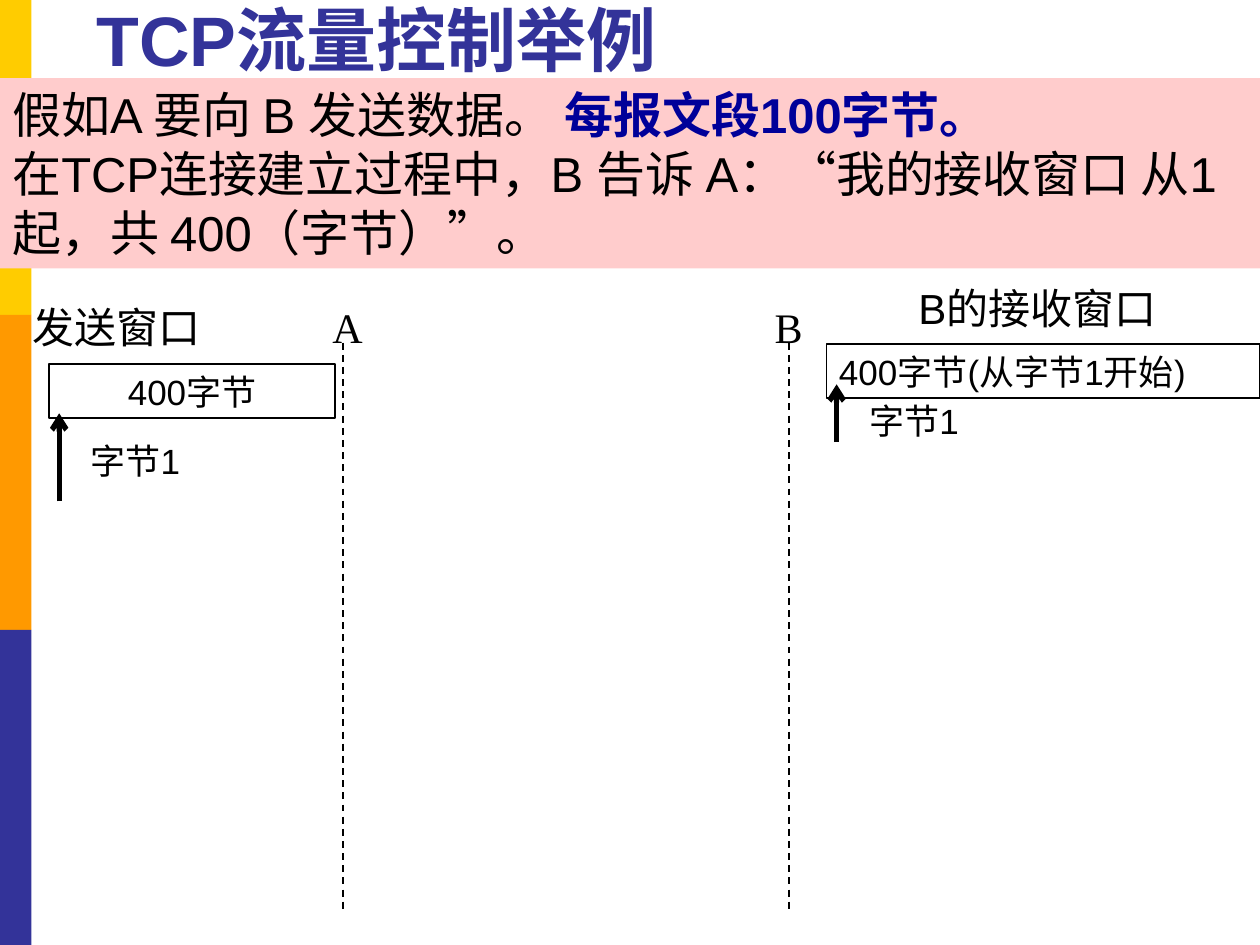
from lxml import etree
from pptx import Presentation
from pptx.dml.color import RGBColor
from pptx.enum.dml import MSO_LINE
from pptx.enum.shapes import MSO_CONNECTOR, MSO_SHAPE
from pptx.enum.text import MSO_ANCHOR, PP_ALIGN
from pptx.oxml.ns import qn
from pptx.util import Inches, Pt

RECTANGLE = MSO_SHAPE.RECTANGLE
STRAIGHT = MSO_CONNECTOR.STRAIGHT
DASH = MSO_LINE.DASH
TOP, BOTTOM = MSO_ANCHOR.TOP, MSO_ANCHOR.BOTTOM
LEFT, CENTER = PP_ALIGN.LEFT, PP_ALIGN.CENTER

BLACK = RGBColor(0x00, 0x00, 0x00)
YELLOW = RGBColor(0xFF, 0xCC, 0x00)
ORANGE = RGBColor(0xFF, 0x99, 0x00)
INDIGO = RGBColor(0x33, 0x33, 0x99)
PINK = RGBColor(0xFF, 0xCC, 0xCC)
NAVY = RGBColor(0x00, 0x00, 0x99)


def add_span(para, text, size=24, font="Arial", color=BLACK, bold=False):
    span = para.add_run()
    span.text = text
    span.font.size = Pt(size)
    span.font.name = font
    span.font.color.rgb = color
    span.font.bold = bold


def write_text(box, text, align=LEFT, anchor=TOP, wrap=True, spacing=None, **span_format):
    """Fill the first paragraph of a box and return it."""
    frame = box.text_frame
    frame.word_wrap = wrap
    frame.vertical_anchor = anchor
    para = frame.paragraphs[0]
    para.alignment = align
    if spacing:
        para.line_spacing = spacing
    add_span(para, text, **span_format)
    return para


def add_label(page, left, top, width, height, text, **text_format):
    box = page.shapes.add_textbox(Inches(left), Inches(top), Inches(width), Inches(height))
    write_text(box, text, **text_format)


def add_rectangle(page, left, top, width, height, fill=None, line=None):
    box = page.shapes.add_shape(
        RECTANGLE, Inches(left), Inches(top), Inches(width), Inches(height))
    box.shadow.inherit = False
    if fill is None:
        box.fill.background()
    else:
        box.fill.solid()
        box.fill.fore_color.rgb = fill
    if line is None:
        box.line.fill.background()
    else:
        box.line.color.rgb = line
        box.line.width = Pt(1)
    return box


def add_vertical_line(page, x, start, end, width=1, dash=None, arrow=False):
    line = page.shapes.add_connector(
        STRAIGHT, Inches(x), Inches(start), Inches(x), Inches(end))
    line.line.color.rgb = BLACK
    line.line.width = Pt(width)
    if dash:
        line.line.dash_style = dash
    if arrow:
        etree.SubElement(line.line._get_or_add_ln(), qn("a:tailEnd"), type="arrow")
    etree.SubElement(line._element.spPr, qn("a:effectLst"))


def add_window(page, left, top, width, text, align=LEFT):
    box = add_rectangle(page, left, top, width, 0.43, line=BLACK)
    write_text(box, text, align=align, size=20)


def add_byte_pointer(page, x, start, end, label_left, label_top):
    add_label(page, label_left, label_top, 0.92, 0.44, "字节1", size=20)
    add_vertical_line(page, x, start, end, width=3, arrow=True)


def add_statement(page):
    box = add_rectangle(page, 0, 0.62, 10, 1.51, fill=PINK)
    para = write_text(box, "假如A 要向 B 发送数据。 ", size=28)
    add_span(para, "每报文段100字节。", size=28, color=NAVY, bold=True)
    para = box.text_frame.add_paragraph()
    para.alignment = LEFT
    add_span(para, "在TCP连接建立过程中，B 告诉 A：“我的接收窗口 从1起，共 400（字节）”。",
             size=28)


def main():
    deck = Presentation()
    deck.slide_width, deck.slide_height = Inches(10), Inches(7.5)
    page = deck.slides.add_slide(deck.slide_layouts[6])

    # Colour band on the left edge
    for index, color in enumerate((YELLOW, ORANGE, INDIGO)):
        add_rectangle(page, 0, 2.5 * index, 0.25, 2.5, fill=color)

    # Time lines of the two hosts
    for name, label_left, line_x in (("A", 2.54, 2.72), ("B", 6.05, 6.26)):
        add_vertical_line(page, line_x, 2.72, 7.24, dash=DASH)
        add_label(page, label_left, 2.34, 0.44, 0.5, name,
                  wrap=False, font="Times New Roman")

    # Title and problem statement
    add_label(page, 0.67, 0.05, 8.74, 0.65, "TCP流量控制举例", anchor=BOTTOM,
              spacing=0.9, size=40, color=INDIGO, bold=True)
    add_statement(page)

    # Receive window of B
    add_label(page, 7.19, 2.19, 2.19, 0.5, "B的接收窗口")
    add_window(page, 6.56, 2.73, 3.44, "400字节(从字节1开始)")
    add_byte_pointer(page, 6.64, 3.51, 3.05, 6.8, 3.12)

    # Send window of A
    add_label(page, 0.16, 2.34, 2.19, 0.5, "发送窗口")
    add_window(page, 0.39, 2.89, 2.27, "400字节", align=CENTER)
    add_byte_pointer(page, 0.47, 3.98, 3.28, 0.62, 3.44)

    deck.save("out.pptx")


if __name__ == "__main__":
    main()
